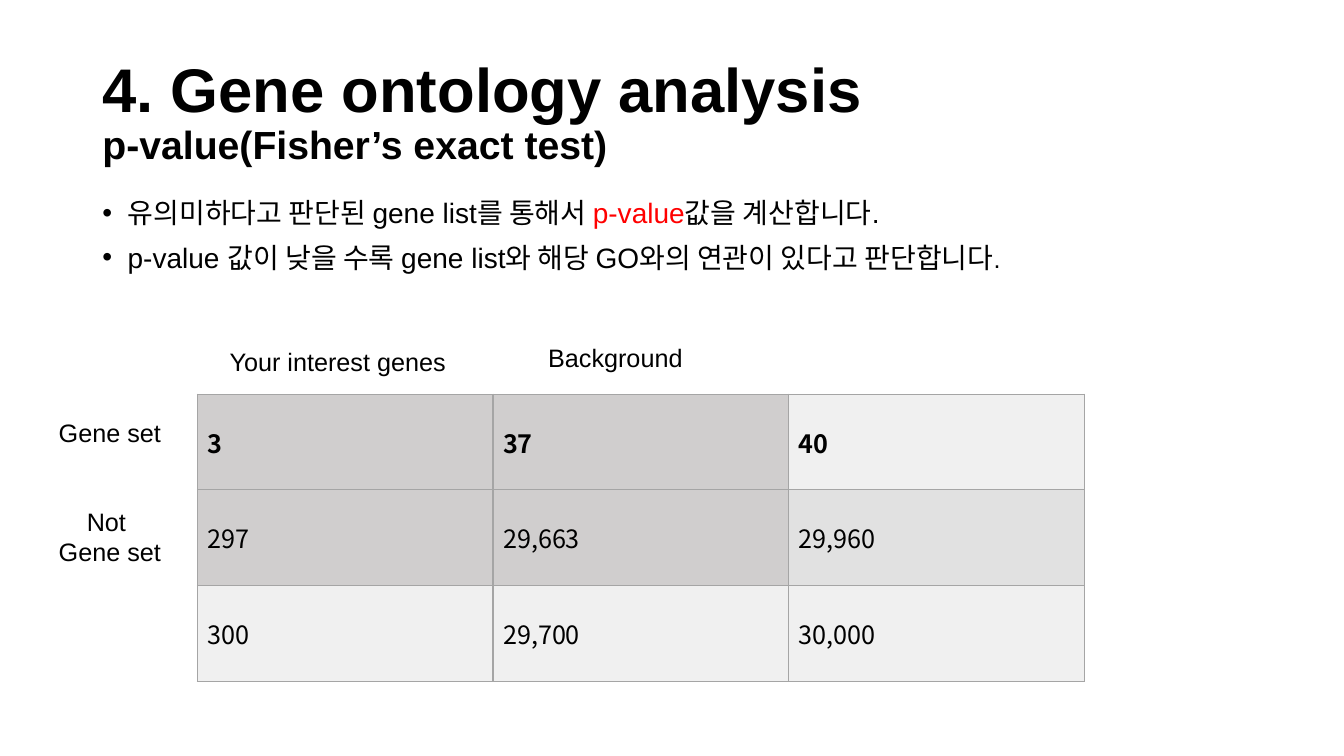
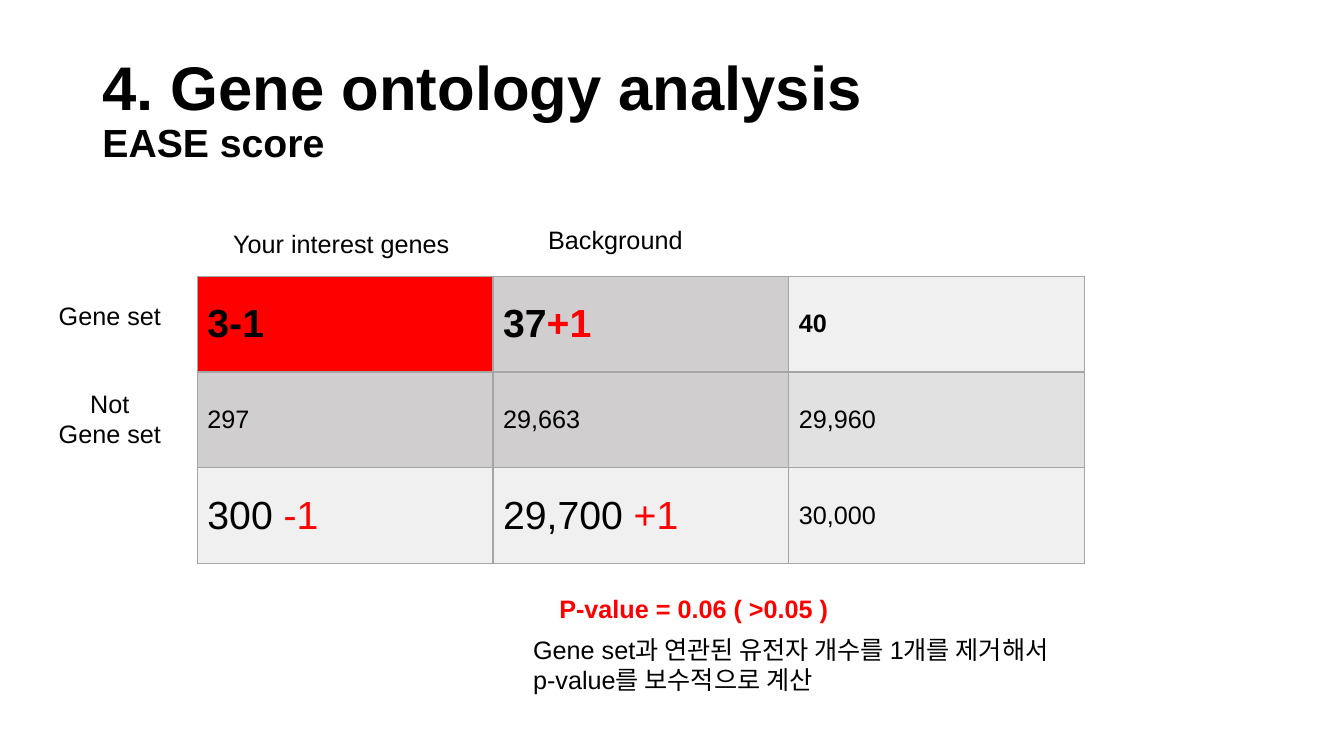
"""Build two slides on gene ontology p-values and the EASE score."""
from dataclasses import dataclass, replace

from lxml import etree
from pptx import Presentation
from pptx import util as u
from pptx.dml.color import RGBColor
from pptx.enum import text as t
from pptx.oxml import ns


@dataclass(frozen=True)
class Theme:
    latin: str = "Arial"
    korean: str = "Noto Sans CJK KR"
    ink: str = "000000"
    accent: str = "FF0000"
    border: str = "A5A5A5"
    counted: str = "D0CECE"
    total: str = "F0F0F0"
    total_banded: str = "E1E1E1"
    heading: float = 44
    large: float = 28
    bullet: float = 20
    regular: float = 18


THEME = Theme()
HEADING = "4. Gene ontology analysis"
TABLE_LEFT, COLUMN_WIDTH, ROW_HEIGHT = 141, 211.2, 68.4
CELL_FILLS = (
    (THEME.counted, THEME.counted, THEME.total),
    (THEME.counted, THEME.counted, THEME.total_banded),
    (THEME.total, THEME.total, THEME.total),
)


@dataclass(frozen=True)
class Span:
    text: str
    size: float = THEME.regular
    color: str = THEME.ink
    bold: bool = False
    font: str = THEME.latin


@dataclass(frozen=True)
class Box:
    left: float
    top: float
    width: float
    height: float


@dataclass(frozen=True)
class Label:
    lines: tuple[str, ...]
    box: Box


@dataclass(frozen=True)
class Entry:
    spans: tuple[Span, ...]
    fill: str | None = None


def place(shape, box: Box) -> None:
    shape.left, shape.top = u.Pt(box.left), u.Pt(box.top)
    shape.width, shape.height = u.Pt(box.width), u.Pt(box.height)


def style_run(run, span: Span) -> None:
    run.font.size = u.Pt(span.size)
    run.font.bold = span.bold
    run.font.color.rgb = RGBColor.from_string(span.color)
    run.font.name = span.font
    east_asian = etree.SubElement(run.font._element, ns.qn("a:ea"))
    east_asian.set("typeface", THEME.korean)


def write(para, spans: tuple[Span, ...]) -> None:
    for span in spans:
        run = para.add_run()
        run.text = span.text
        style_run(run, span)


def add_page(deck, layout: int, subtitle: str, top: float):
    page = deck.slides.add_slide(deck.slide_layouts[layout])
    title = page.shapes.title
    place(title, Box(66, top, 828, 104.4))
    frame = title.text_frame
    frame.auto_size = t.MSO_AUTO_SIZE.NONE
    frame.vertical_anchor = t.MSO_ANCHOR.MIDDLE
    para = frame.paragraphs[0]
    para.text = f"{HEADING}\v{subtitle}"
    para.alignment = t.PP_ALIGN.LEFT
    para.line_spacing = 0.9
    for run, size in zip(para.runs, (THEME.heading, THEME.large)):
        style_run(run, Span(run.text, size, bold=True))
    return page


def add_bullets(body, box: Box, items: tuple[tuple[Span, ...], ...]) -> None:
    place(body, box)
    frame = body.text_frame
    frame.auto_size = t.MSO_AUTO_SIZE.NONE
    for index, spans in enumerate(items):
        para = frame.add_paragraph() if index else frame.paragraphs[0]
        para.line_spacing = 0.9
        para.space_before = u.Pt(10)
        properties = para._p.get_or_add_pPr()
        properties.set("marL", str(u.Pt(18)))
        properties.set("indent", str(u.Pt(-18)))
        write(para, spans)


def add_text(page, label: Label, span: Span, alignment=t.PP_ALIGN.LEFT) -> None:
    box = page.shapes.add_textbox(0, 0, 0, 0)
    place(box, label.box)
    frame = box.text_frame
    frame.word_wrap = True
    frame.auto_size = t.MSO_AUTO_SIZE.SHAPE_TO_FIT_TEXT
    frame.text = "\n".join(label.lines)
    for para in frame.paragraphs:
        para.alignment = alignment
        for run in para.runs:
            style_run(run, span)


def add_borders(cell) -> None:
    properties = cell._tc.get_or_add_tcPr()
    for side in ("lnL", "lnR", "lnT", "lnB"):
        line = etree.SubElement(properties, ns.qn(f"a:{side}"), w=str(u.Pt(1)))
        fill = etree.SubElement(line, ns.qn("a:solidFill"))
        etree.SubElement(fill, ns.qn("a:srgbClr"), val=THEME.border)


def add_contingency(page, top: float, rows: tuple[tuple[Entry, ...], ...],
                    interest: str, outside: str) -> None:
    frame = page.shapes.add_table(
        3, 3, u.Pt(TABLE_LEFT), u.Pt(top), u.Pt(3 * COLUMN_WIDTH), u.Pt(3 * ROW_HEIGHT))
    table = frame.table
    table.first_row = table.horz_banding = False
    for column in table.columns:
        column.width = u.Pt(COLUMN_WIDTH)
    for row_index, (row, entries) in enumerate(zip(table.rows, rows)):
        row.height = u.Pt(ROW_HEIGHT)
        for column_index, entry in enumerate(entries):
            cell = table.cell(row_index, column_index)
            add_borders(cell)
            cell.fill.solid()
            color = entry.fill or CELL_FILLS[row_index][column_index]
            cell.fill.fore_color.rgb = RGBColor.from_string(color)
            cell.vertical_anchor = t.MSO_ANCHOR.MIDDLE
            write(cell.text_frame.paragraphs[0], entry.spans)

    labels = (
        Label(("Gene set",), Box(23, top + 13.3, 111, 29)),
        Label((outside, "Gene set"), Box(23, top + 76.5, 111, 51)),
        Label((interest,), Box(150.5, top - 38, 186.5, 29)),
        Label(("Background",), Box(346.3, top - 40.8, 186.5, 29)),
    )
    for label in labels:
        add_text(page, label, Span(""), t.PP_ALIGN.CENTER)


def build_fisher(deck) -> None:
    page = add_page(deck, 1, "p-value(Fisher’s exact test)", 28.8)
    values = (("3", "37", "40"), ("297", "29,663", "29,960"), ("300", "29,700", "30,000"))
    rows = tuple(
        tuple(Entry((Span(value, bold=index == 0, font=THEME.korean),)) for value in line)
        for index, line in enumerate(values))
    add_contingency(page, 281.5, rows, "Your interest genes ", "Not ")
    plain = Span("", THEME.bullet)
    add_bullets(page.placeholders[1], Box(66, 139, 818.6, 342.7), (
        (replace(plain, text="유의미하다고 판단된 gene list를 통해서 "),
         replace(plain, text="p-value", color=THEME.accent),
         replace(plain, text="값을 계산합니다.")),
        (replace(plain, text="p-value 값이 낮을 수록 gene list와 해당 GO와의 연관이 있다고 판단합니다"),
         Span(".")),
    ))


def build_ease(deck) -> None:
    page = add_page(deck, 5, "EASE score", 27.4)
    large = Span("", THEME.large)
    strong = replace(large, bold=True)
    change = replace(large, color=THEME.accent)
    rows = (
        (Entry((replace(strong, text="3-1"),), THEME.accent),
         Entry((replace(strong, text="37"), replace(change, text="+1", bold=True))),
         Entry((Span("40", bold=True),))),
        tuple(Entry((Span(value),)) for value in ("297", "29,663", "29,960")),
        (Entry((replace(large, text="300 "), replace(change, text="-1"))),
         Entry((replace(large, text="29,700 "), replace(change, text="+1"))),
         Entry((Span("30,000"),))),
    )
    add_contingency(page, 197.3, rows, "Your interest genes", "Not")
    add_text(page, Label(("P-value = 0.06 ( >0.05 )",), Box(392.4, 420.5, 281.5, 29)),
             Span("", color=THEME.accent, bold=True))
    add_text(page, Label(
        ("Gene set과 연관된 유전자 개수를 1개를 제거해서 p-value를 보수적으로 계산",),
        Box(373.7, 449.3, 389.5, 51)), Span(""))


def main() -> None:
    deck = Presentation()
    deck.slide_width, deck.slide_height = u.Pt(960), u.Pt(540)
    build_fisher(deck)
    build_ease(deck)
    deck.save("out.pptx")


if __name__ == "__main__":
    main()
